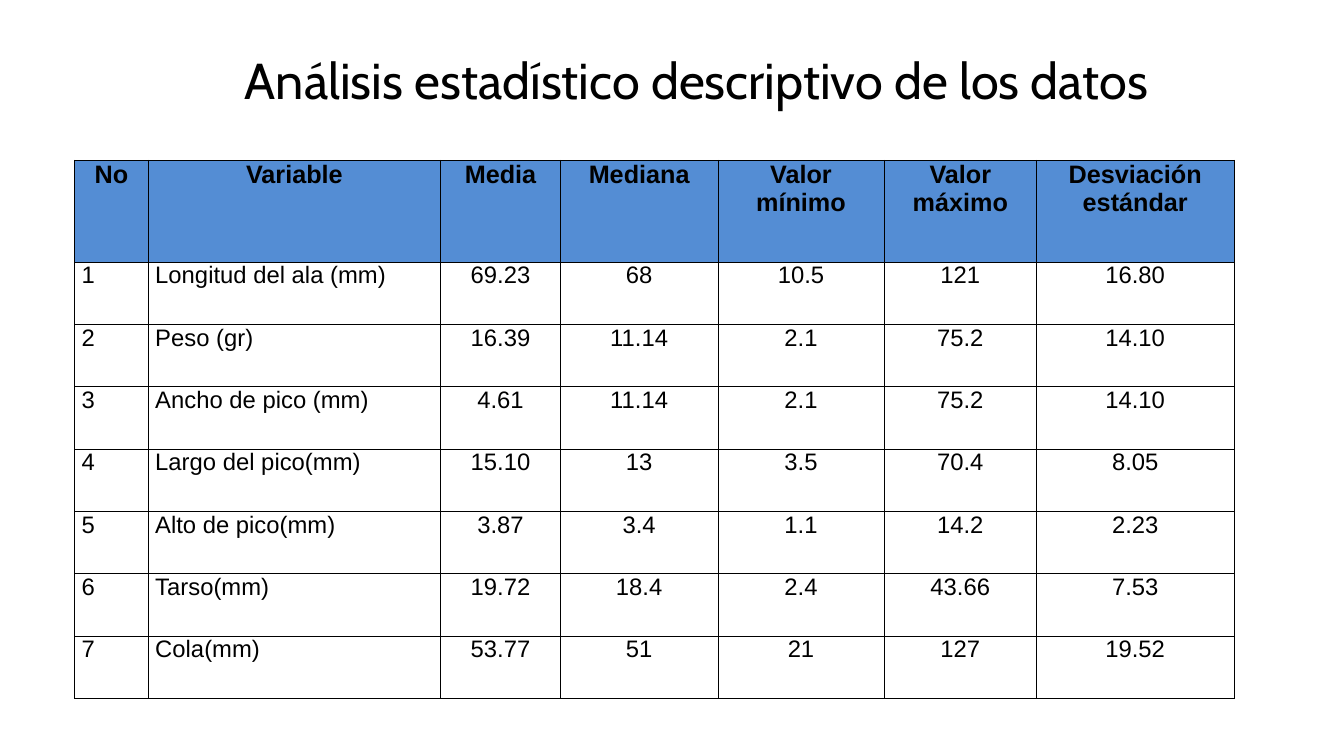
from lxml import etree
from pptx import Presentation
from pptx.dml.color import RGBColor
from pptx.enum.text import MSO_ANCHOR, PP_ALIGN
from pptx.oxml.ns import qn
from pptx.util import Inches, Pt

CENTER, LEFT, JUSTIFY = PP_ALIGN.CENTER, PP_ALIGN.LEFT, PP_ALIGN.JUSTIFY
MIDDLE = MSO_ANCHOR.MIDDLE

COLORS = {"text": "000000", "border": "000000", "header": "548DD4"}
SLIDE_SIZE = (13.33, 7.5)
TITLE_BOX = (0.83, 0.02, 11.5, 1.45)
TABLE_BOX = (0.74, 1.59, 11.5, 5.34)

COLUMN_WIDTHS = [0.73, 2.9, 1.19, 1.56, 1.65, 1.51, 1.96]
COLUMN_ALIGNMENTS = [JUSTIFY, LEFT] + [CENTER] * 5
HEADER_HEIGHT = 1.01

HEADERS = ["No", "Variable", "Media", "Mediana", "Valor mínimo",
           "Valor máximo", "Desviación estándar"]
STATISTICS = [
    ["Longitud del ala (mm)", "69.23", "68", "10.5", "121", "16.80"],
    ["Peso (gr)", "16.39", "11.14", "2.1", "75.2", "14.10"],
    ["Ancho de pico (mm)", "4.61", "11.14", "2.1", "75.2", "14.10"],
    ["Largo del pico(mm)", "15.10", "13", "3.5", "70.4", "8.05"],
    ["Alto de pico(mm)", "3.87", "3.4", "1.1", "14.2", "2.23"],
    ["Tarso(mm)", "19.72", "18.4", "2.4", "43.66", "7.53"],
    ["Cola(mm)", "53.77", "51", "21", "127", "19.52"],
]


def style_font(font, name, size, bold=False):
    font.name, font.size, font.bold = name, Pt(size), bold
    font.color.rgb = RGBColor.from_string(COLORS["text"])


def add_title(slide, box, title):
    frame = slide.shapes.add_textbox(*map(Inches, box)).text_frame
    frame.word_wrap = True
    frame.vertical_anchor = MIDDLE
    paragraph = frame.paragraphs[0]
    paragraph.text = title
    paragraph.alignment = JUSTIFY
    paragraph.line_spacing = 1.15
    properties = paragraph._p.get_or_add_pPr()
    properties.set("marL", str(Inches(1)))
    properties.set("indent", str(Inches(0.5)))
    style_font(paragraph.font, "Cabin", 36)


def add_borders(cell):
    properties = cell._tc.get_or_add_tcPr()
    for side in ("lnL", "lnR", "lnT", "lnB"):
        line = etree.SubElement(properties, qn(f"a:{side}"), w=str(Pt(0.5)))
        fill = etree.SubElement(line, qn("a:solidFill"))
        etree.SubElement(fill, qn("a:srgbClr"), val=COLORS["border"])


def fill_cell(cell, text, alignment, is_header):
    cell.margin_left = cell.margin_right = Inches(0.07)
    cell.margin_top = cell.margin_bottom = 0
    add_borders(cell)
    if is_header:
        cell.fill.solid()
        cell.fill.fore_color.rgb = RGBColor.from_string(COLORS["header"])
    else:
        cell.fill.background()
    paragraph = cell.text_frame.paragraphs[0]
    paragraph.text = text
    paragraph.alignment = CENTER if is_header else alignment
    style_font(paragraph.font, "Arial", 18 if is_header else 17, is_header)


def add_statistics_table(slide, box):
    width, height = box[2:]
    rows = [HEADERS] + [[str(number), *values]
                        for number, values in enumerate(STATISTICS, 1)]
    table = slide.shapes.add_table(len(rows), len(HEADERS),
                                   *map(Inches, box)).table
    for column, share in zip(table.columns, COLUMN_WIDTHS):
        column.width = Inches(width * share / sum(COLUMN_WIDTHS))
    body_height = (height - HEADER_HEIGHT) / len(STATISTICS)
    for row_index, values in enumerate(rows):
        is_header = row_index == 0
        table.rows[row_index].height = Inches(
            HEADER_HEIGHT if is_header else body_height)
        for column_index, value in enumerate(values):
            fill_cell(table.cell(row_index, column_index), value,
                      COLUMN_ALIGNMENTS[column_index], is_header)


def main():
    presentation = Presentation()
    presentation.slide_width, presentation.slide_height = map(Inches, SLIDE_SIZE)
    slide = presentation.slides.add_slide(presentation.slide_layouts[6])
    add_title(slide, TITLE_BOX, "Análisis estadístico descriptivo de los datos")
    add_statistics_table(slide, TABLE_BOX)
    presentation.save("out.pptx")


if __name__ == "__main__":
    main()
